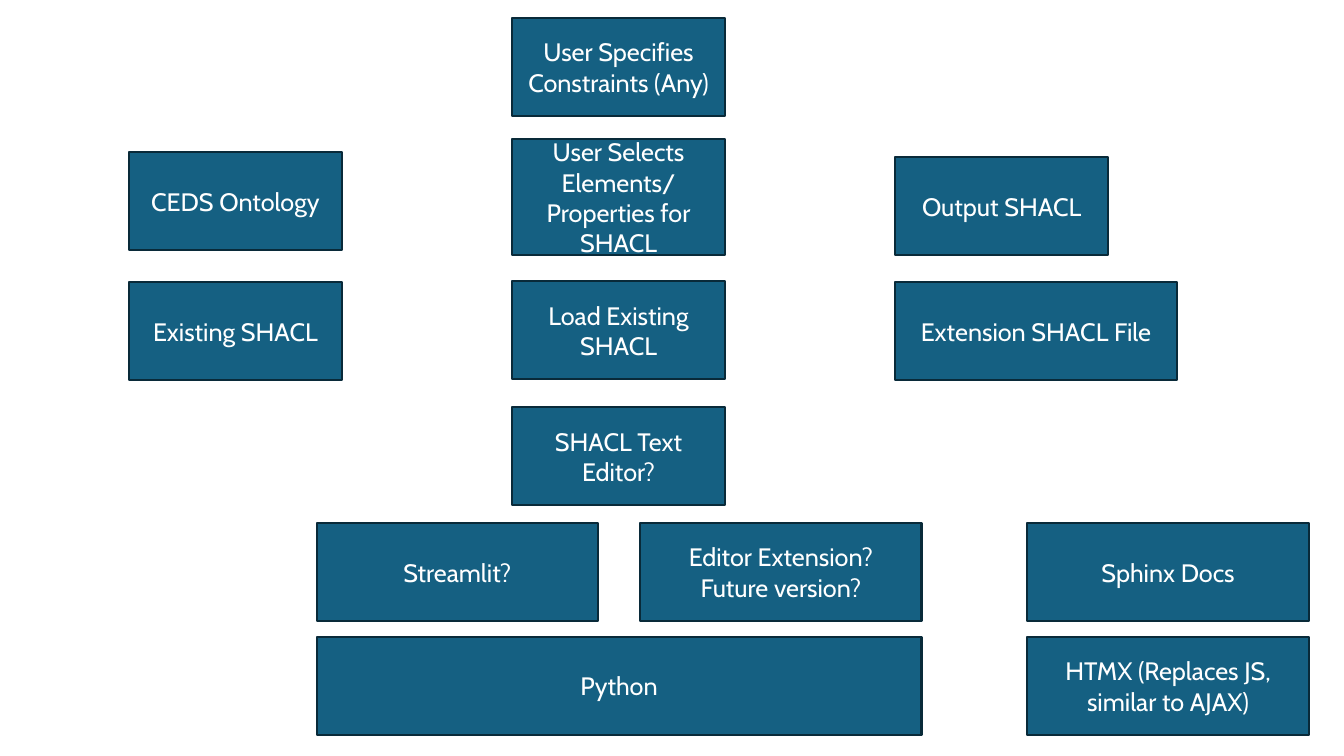
from pptx import Presentation
from pptx.dml.color import RGBColor
from pptx.enum.shapes import MSO_SHAPE as Shape
from pptx.enum.text import MSO_ANCHOR as Anchor, PP_ALIGN as Align
from pptx.util import Inches, Pt

BLUE = RGBColor(0x15, 0x60, 0x82)
NAVY = RGBColor(0x09, 0x2A, 0x39)
WHITE = RGBColor(0xFF, 0xFF, 0xFF)

INPUT_LEFT, STEP_LEFT, OUTPUT_LEFT = 1.28, 5.08, 8.88
STACK_LEFT, EXTENSION_LEFT, DOCS_LEFT = 3.14, 6.35, 10.19
TOOL_TOP, BASE_TOP = 5.19, 6.32
NARROW, WIDE, FULL = 2.11, 2.79, 6
HEIGHT, TALL = 0.97, 1.15

boxes = [
    ("Python", STACK_LEFT, BASE_TOP, FULL, HEIGHT),
    ("CEDS Ontology", INPUT_LEFT, 1.51, NARROW, HEIGHT),
    ("User Selects Elements/\nProperties for SHACL", STEP_LEFT, 1.38, NARROW, TALL),
    ("Output SHACL", OUTPUT_LEFT, 1.56, NARROW, HEIGHT),
    ("Streamlit?", STACK_LEFT, TOOL_TOP, WIDE, HEIGHT),
    ("User Specifies Constraints (Any)", STEP_LEFT, 0.18, NARROW, HEIGHT),
    ("Existing SHACL", INPUT_LEFT, 2.8, NARROW, HEIGHT),
    ("Load Existing SHACL", STEP_LEFT, 2.79, NARROW, HEIGHT),
    ("SHACL Text Editor?", STEP_LEFT, 4.04, NARROW, HEIGHT),
    ("Editor Extension?\nFuture version?", EXTENSION_LEFT, TOOL_TOP, WIDE, HEIGHT),
    ("Extension SHACL File", OUTPUT_LEFT, 2.8, WIDE, HEIGHT),
    ("Sphinx Docs", DOCS_LEFT, TOOL_TOP, WIDE, HEIGHT),
    ("HTMX (Replaces JS, similar to AJAX)", DOCS_LEFT, BASE_TOP, WIDE, HEIGHT),
]

deck = Presentation()
deck.slide_width = Inches(13.33)
deck.slide_height = Inches(7.5)
page = deck.slides.add_slide(deck.slide_layouts[6])

for label, left, top, width, height in boxes:
    box = page.shapes.add_shape(
        Shape.RECTANGLE, Inches(left), Inches(top), Inches(width), Inches(height)
    )
    box.shadow.inherit = False
    box.fill.solid()
    box.fill.fore_color.rgb = BLUE
    box.line.color.rgb = NAVY
    box.line.width = Pt(1.5)
    frame = box.text_frame
    frame.word_wrap = True
    frame.vertical_anchor = Anchor.MIDDLE
    para = frame.paragraphs[0]
    para.text = label
    para.alignment = Align.CENTER
    for span in para.runs:
        span.font.name = "Cabin"
        span.font.size = Pt(18)
        span.font.color.rgb = WHITE

deck.save("out.pptx")
